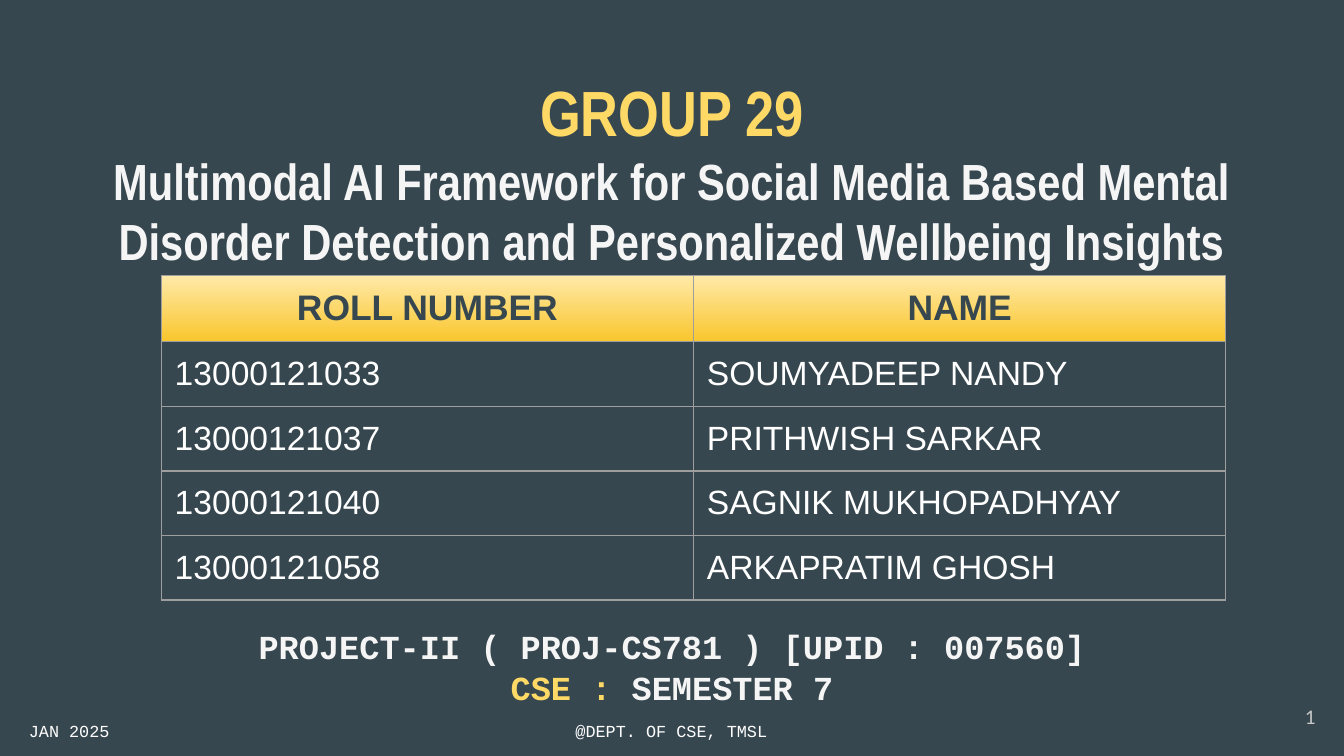
from lxml import etree
from pptx import Presentation
from pptx.dml.color import RGBColor
from pptx.enum.text import MSO_ANCHOR as Anchor, MSO_AUTO_SIZE as AutoSize, PP_ALIGN as Align
from pptx.oxml.ns import qn
from pptx.util import Inches, Pt

SLATE = RGBColor(0x37, 0x47, 0x4F)
YELLOW = RGBColor(0xFF, 0xD9, 0x66)
PALE_GOLD = RGBColor(0xFF, 0xE9, 0xA8)
GOLD = RGBColor(0xF9, 0xC6, 0x2C)
OFF_WHITE = RGBColor(0xF5, 0xF5, 0xF5)
WHITE = RGBColor(0xFF, 0xFF, 0xFF)
LIGHT_GREY = RGBColor(0xCA, 0xCA, 0xCA)
BORDER_GREY = RGBColor(0x9E, 0x9E, 0x9E)


def write(frame, lines, font, align=Align.CENTER, bold=False, anchor=Anchor.TOP):
    """Fill a text frame; each line is a list of (text, size, colour) runs."""
    frame.word_wrap = True
    frame.vertical_anchor = anchor
    frame.margin_left = frame.margin_right = Inches(0.1)
    frame.margin_top = frame.margin_bottom = Inches(0.1)
    for i, line in enumerate(lines):
        paragraph = frame.paragraphs[0] if i == 0 else frame.add_paragraph()
        paragraph.alignment = align
        for text, size, color in line:
            run = paragraph.add_run()
            run.text = text
            run.font.name = font
            run.font.size = Pt(size)
            run.font.bold = bold
            run.font.color.rgb = color


def outline_cell(cell, color, width):
    """Draw all four borders; they must stand before the fill in the XML."""
    properties = cell._tc.get_or_add_tcPr()
    for i, side in enumerate(("a:lnL", "a:lnR", "a:lnT", "a:lnB")):
        line = etree.Element(qn(side), w=str(Pt(width)))
        fill = etree.SubElement(line, qn("a:solidFill"))
        etree.SubElement(fill, qn("a:srgbClr"), val=str(color))
        properties.insert(i, line)


prs = Presentation()
prs.slide_width = Inches(10)
prs.slide_height = Inches(10) * 9 // 16
slide = prs.slides.add_slide(prs.slide_layouts[5])
slide.background.fill.solid()
slide.background.fill.fore_color.rgb = SLATE

# Title
title = slide.shapes.title
title.left, title.top = Inches(0.34), Inches(0.44)
title.width, title.height = Inches(9.32), Inches(1.6)
title.text_frame.auto_size = AutoSize.NONE
project = ("Multimodal AI Framework for Social Media Based Mental Disorder "
           "Detection and Personalized Wellbeing Insights")
write(title.text_frame,
      [[("GROUP 29", 34.2, YELLOW)], [(project, 27.2, OFF_WHITE)]],
      "Arial Narrow", bold=True)

# Group members
members = [
    ("ROLL NUMBER", "NAME"),
    ("13000121033", "SOUMYADEEP NANDY"),
    ("13000121037", "PRITHWISH SARKAR"),
    ("13000121040", "SAGNIK MUKHOPADHYAY"),
    ("13000121058", "ARKAPRATIM GHOSH"),
]
member_table = slide.shapes.add_table(
    len(members), 2, Inches(1.2), Inches(2.05),
    Inches(7.92), Inches(0.42 * len(members))).table
member_table.first_row = member_table.horz_banding = False
for r, member in enumerate(members):
    for c, text in enumerate(member):
        cell = member_table.cell(r, c)
        if r == 0:
            write(cell.text_frame, [[(text, 19, SLATE)]], "Arial", bold=True)
            cell.fill.gradient()
            cell.fill.gradient_angle = 270
            for stop, color in zip(cell.fill.gradient_stops, (PALE_GOLD, GOLD)):
                stop.color.rgb = color
        else:
            write(cell.text_frame, [[(text, 18, WHITE)]], "Arial", align=Align.LEFT)
            cell.fill.background()
        cell.margin_left = cell.margin_right = Inches(0.1)
        cell.margin_top = cell.margin_bottom = Inches(0.1)
        outline_cell(cell, BORDER_GREY, 0.75)

# Course details
course = slide.shapes.add_textbox(Inches(0.23), Inches(4.56), Inches(9.54), Inches(0.81))
write(course.text_frame,
      [[("PROJECT-II ( PROJ-CS781 ) [UPID : 007560]", 18, OFF_WHITE)],
       [("CSE : ", 18, YELLOW), ("SEMESTER 7", 18, OFF_WHITE)]],
      "Courier New", bold=True)

# Page number, date and department
footers = [
    ("1", 9.29, 5.12, 0.6, 0.43, 10, "Lato", LIGHT_GREY, Align.RIGHT),
    ("JAN 2025", 0, 5.24, 1.03, 0.39, 9, "Courier New", WHITE, Align.CENTER),
    ("@DEPT. OF CSE, TMSL", 3.88, 5.24, 2.23, 0.39, 9, "Courier New", WHITE, Align.CENTER),
]
for text, left, top, width, height, size, font, color, align in footers:
    footer = slide.shapes.add_textbox(Inches(left), Inches(top), Inches(width), Inches(height))
    write(footer.text_frame, [[(text, size, color)]], font, align=align, anchor=Anchor.MIDDLE)

prs.save("out.pptx")
